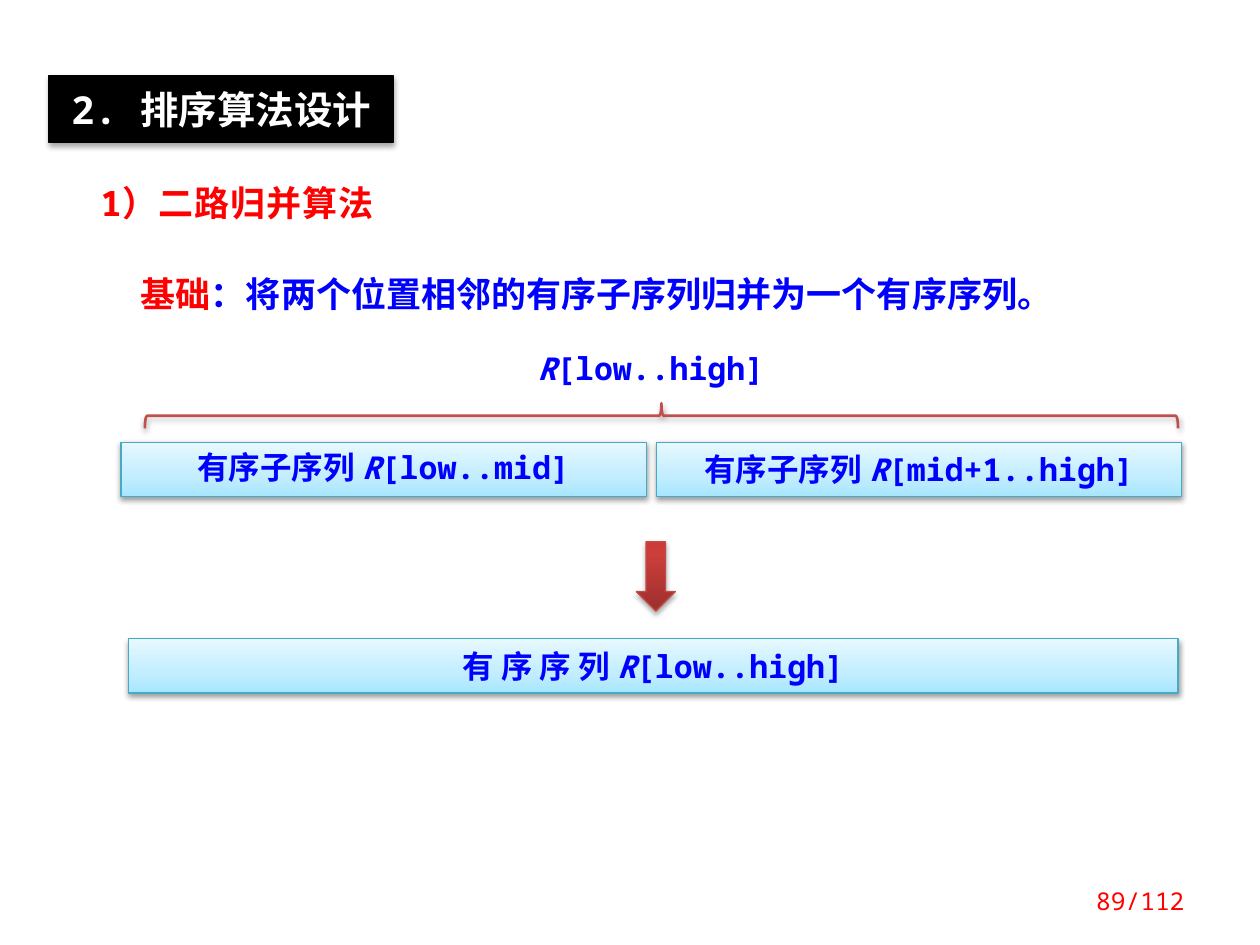
from pptx import Presentation, oxml, util as u
from pptx.dml.color import RGBColor
from pptx.enum import shapes, text
from pptx.oxml.ns import nsdecls, qn

BLACK = RGBColor(0, 0, 0)
WHITE = RGBColor(255, 255, 255)
RED = RGBColor(255, 0, 0)
BLUE = RGBColor(0, 0, 255)
TEAL = RGBColor(0x46, 0xAA, 0xC5)
BRICK = RGBColor(0xBF, 0x4C, 0x48)
BRACE_RED = RGBColor(0xC0, 0x50, 0x4D)
SKY_STOPS = [(0, RGBColor(0xA7, 0xE6, 0xFF)), (35, RGBColor(0xC1, 0xED, 0xFF)),
             (100, RGBColor(0xE7, 0xF8, 0xFF))]
ARROW_STOPS = [(0, RGBColor(0x9C, 0x2F, 0x2D)), (80, RGBColor(0xCB, 0x3E, 0x3A)),
               (100, RGBColor(0xCE, 0x3B, 0x37))]
MONO = "Noto Sans Mono"
HAN = "Noto Sans CJK SC"
SHAPE = shapes.MSO_SHAPE
ALIGN = text.PP_ALIGN
ANCHOR = text.MSO_ANCHOR


def add_span(para, words, size=18, color=BLUE, bold=True, italic=False,
             font=MONO, spacing=0):
    span = para.add_run()
    span.text = words
    span.font.size = u.Pt(size)
    span.font.bold = bold
    span.font.italic = italic
    span.font.color.rgb = color
    span.font.name = font
    properties = span.font._element
    if spacing:
        properties.set("spc", str(round(spacing * 100)))
    east_asian = properties.makeelement(qn("a:ea"), {"typeface": HAN})
    properties.find(qn("a:latin")).addnext(east_asian)


def write(box, spans, align=ALIGN.CENTER, anchor=ANCHOR.TOP, wrap=True,
          margin=3.6, line_spacing=None, **style):
    frame = box.text_frame
    frame.word_wrap = wrap
    frame.vertical_anchor = anchor
    frame.margin_top = frame.margin_bottom = u.Pt(margin)
    para = frame.paragraphs[0]
    para.alignment = align
    para.line_spacing = line_spacing
    for words, changes in spans:
        add_span(para, words, **{**style, **changes})


def add_label(slide, bounds, spans, **style):
    box = slide.shapes.add_textbox(*map(u.Pt, bounds))
    write(box, spans, **style)


def set_gradient(shape, stops):
    marks = "".join(f'<a:gs pos="{place * 1000}"><a:srgbClr val="{color}"/></a:gs>'
                    for place, color in stops)
    gradient = oxml.parse_xml(
        f'<a:gradFill {nsdecls("a")} rotWithShape="1"><a:gsLst>{marks}</a:gsLst>'
        '<a:lin ang="16200000" scaled="0"/></a:gradFill>')
    shape._element.spPr.find(qn("a:prstGeom")).addnext(gradient)


def set_shadow(shape, opacity, distance):
    shape._element.spPr.append(oxml.parse_xml(
        f'<a:effectLst {nsdecls("a")}><a:outerShdw blurRad="{u.Pt(3.1)}" '
        f'dist="{u.Pt(distance)}" dir="5400000" rotWithShape="0">'
        f'<a:srgbClr val="{BLACK}"><a:alpha val="{opacity * 1000}"/></a:srgbClr>'
        '</a:outerShdw></a:effectLst>'))


def add_figure(slide, kind, bounds, line, width=0.75, fill=None, stops=None,
               opacity=38, distance=1.6):
    shape = slide.shapes.add_shape(kind, *map(u.Pt, bounds))
    if stops:
        set_gradient(shape, stops)
    elif fill is not None:
        shape.fill.solid()
        shape.fill.fore_color.rgb = fill
    else:
        shape.fill.background()
    shape.line.color.rgb = line
    shape.line.width = u.Pt(width)
    set_shadow(shape, opacity, distance)
    return shape


def add_sequence(slide, bounds, name, interval, **style):
    bar = add_figure(slide, SHAPE.RECTANGLE, bounds, TEAL, stops=SKY_STOPS)
    write(bar, [(name, {}), ("R", {"italic": True}), (interval, {})], **style)


def main():
    deck = Presentation()
    deck.slide_width, deck.slide_height = u.Pt(720), u.Pt(540)
    slide = deck.slides.add_slide(deck.slide_layouts[6])

    title = add_figure(slide, SHAPE.RECTANGLE, (28.1, 43.2, 196.6, 38.2), BLACK,
                       fill=BLACK, opacity=35, distance=1.8)
    write(title, [("2. 排序算法设计", {})], size=22, color=WHITE, margin=5.8)
    add_label(slide, (50.4, 100.1, 191.5, 31.7), [("1）二路归并算法", {})],
              align=ALIGN.LEFT, size=20, color=RED, spacing=0.5)
    add_label(slide, (73.4, 151.9, 573.8, 31.7),
              [("基础", {"color": RED, "font": HAN}),
               ("：将两个位置相邻的有序子序列归并为一个有序序列。", {})],
              align=ALIGN.LEFT, size=20)

    add_sequence(slide, (73.4, 365, 599.8, 31), "有 序 序 列 ", "[low..high]",
                 anchor=ANCHOR.MIDDLE, wrap=False)
    halves = [("[low..mid]", ANCHOR.TOP), ("[mid+1..high]", ANCHOR.MIDDLE)]
    for index, (interval, anchor) in enumerate(halves):
        add_sequence(slide, (69.1 + 306 * index, 252.7, 300.2, 31), "有序子序列 ",
                     interval, anchor=anchor)

    add_figure(slide, SHAPE.DOWN_ARROW, (363.6, 309.6, 22.3, 39.6), BRICK,
               stops=ARROW_STOPS, opacity=35, distance=1.8)
    add_label(slide, (295.9, 200.2, 151.9, 25.2),
              [("R", {"italic": True}), ("[low..high]", {})], line_spacing=0.8)
    brace = add_figure(slide, SHAPE.RIGHT_BRACE, (370.8, -57.6, 14.4, 590.4),
                       BRACE_RED, width=1.5)
    brace.rotation = 270
    add_label(slide, (596.2, 500.4, 87.8, 28.8), [("89/112", {})], size=14,
              color=RED, bold=False, align=ALIGN.RIGHT, anchor=ANCHOR.MIDDLE)

    deck.save("out.pptx")


if __name__ == "__main__":
    main()
